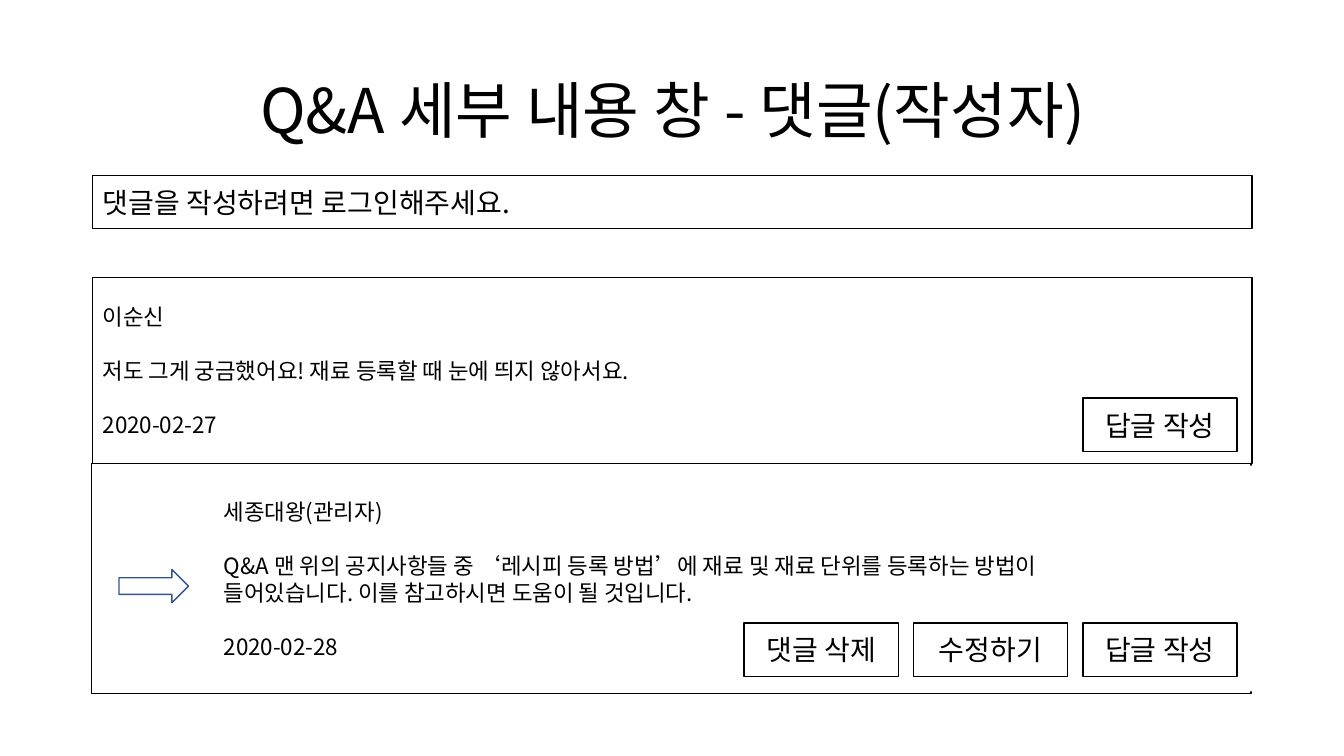
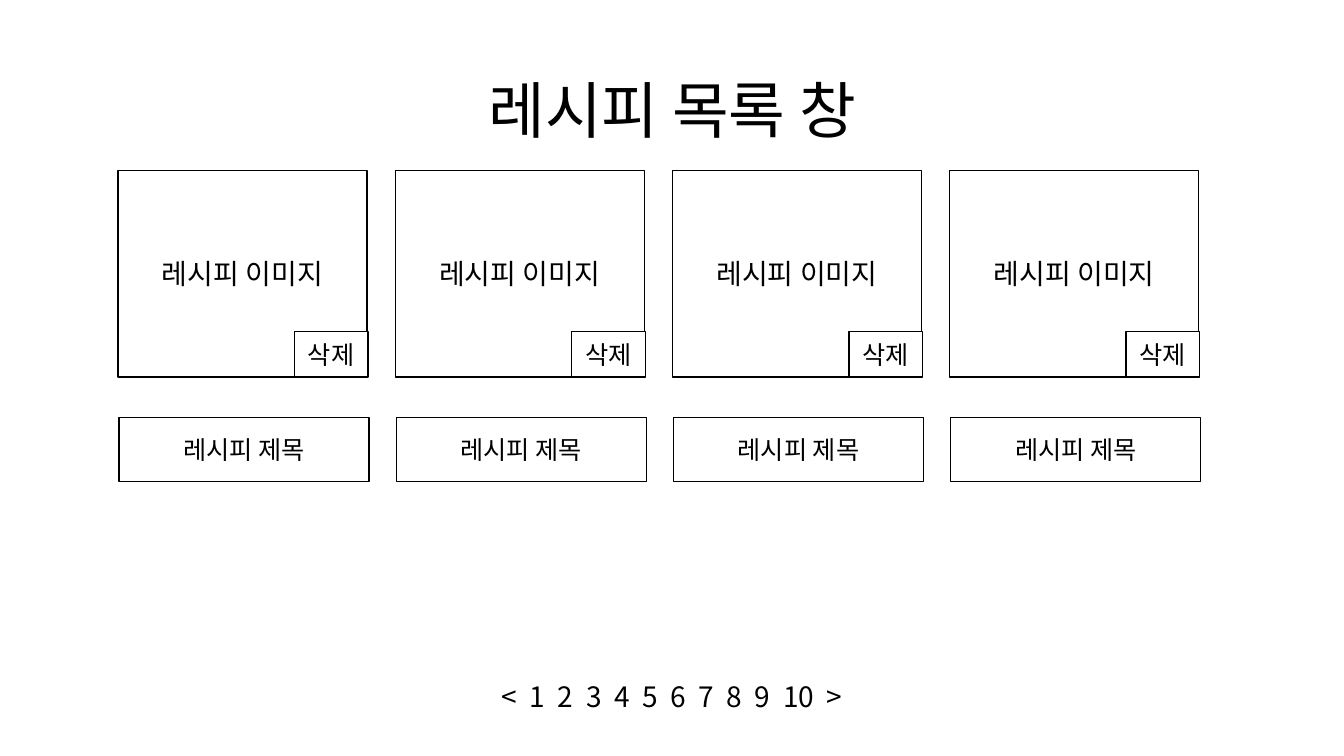
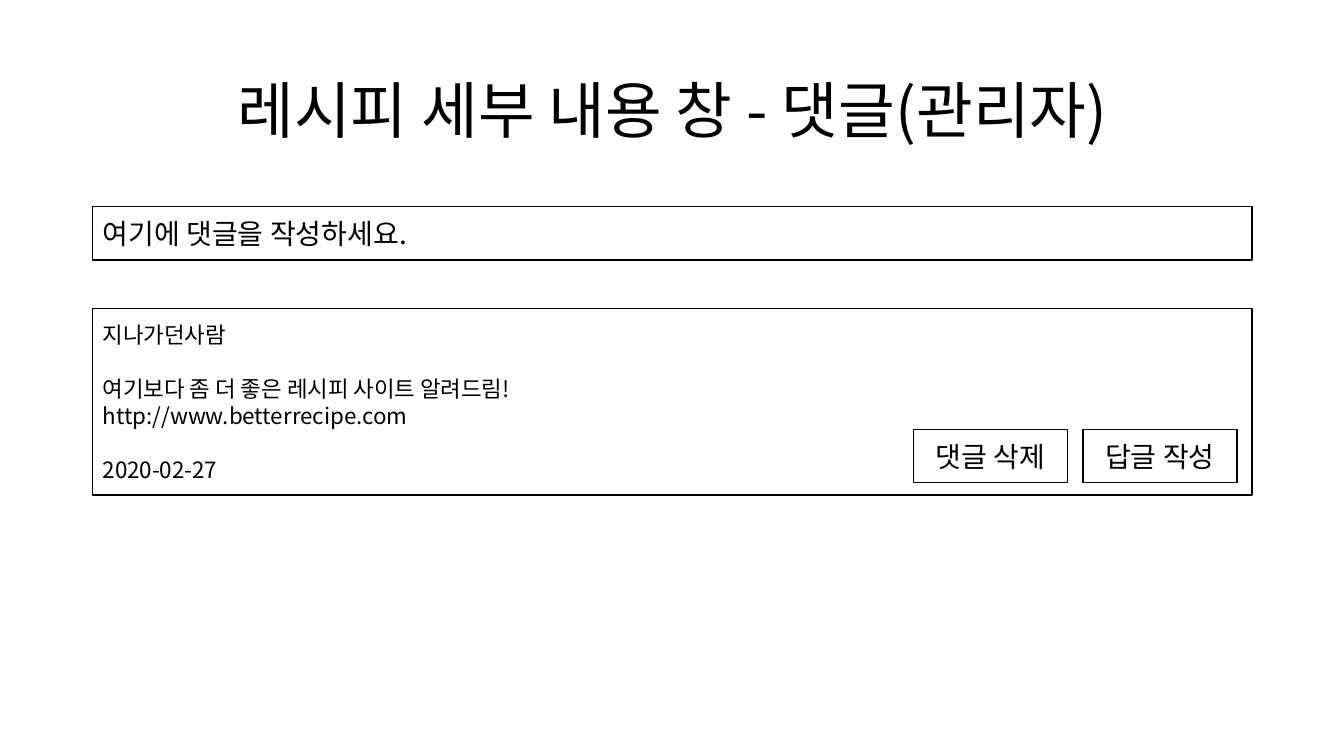
import pptx
import pptx.util
import pptx.dml.color
import pptx.enum.shapes
import pptx.enum.text
import pptx.oxml

Inches = pptx.util.Inches
Pt = pptx.util.Pt
SHAPES = pptx.enum.shapes.MSO_SHAPE
ALIGN = pptx.enum.text.PP_ALIGN
ANCHOR = pptx.enum.text.MSO_ANCHOR

COLORS = {"paper": "FFFFFF", "ink": "000000", "arrow": "325491"}
FONT = "Noto Sans CJK KR"

# Paragraph formats
TITLE = {"alignment": ALIGN.CENTER, "line_spacing": 0.9}
CENTERED = {"alignment": ALIGN.CENTER}
LEFT = {"alignment": ALIGN.LEFT}
COMMENT_LINE = Pt(19.3)
COMMENT = {"alignment": ALIGN.LEFT, "line_spacing": COMMENT_LINE}
COMMENT_GAP = {**COMMENT, "space_before": COMMENT_LINE}

# Shared positions in inches
MARGIN, CONTENT_WIDTH = 0.92, 11.5
BUTTON_WIDTH, BUTTON_HEIGHT = 1.53, 0.53
BUTTON_RIGHT, BUTTON_STEP = 10.74, 1.68
CARD_COUNT, CARD_LEFT, CARD_STEP = 4, 1.17, 2.75


def color(name):
    return pptx.dml.color.RGBColor.from_string(COLORS[name])


def apply_format(target, values):
    for name, value in values.items():
        setattr(target, name, value)


def add_span(para, text, size):
    span = para.add_run()
    span.text = text
    apply_format(span.font, {"name": FONT, "size": Pt(size)})
    span.font.color.rgb = color("ink")
    east_asian = pptx.oxml.parse_xml(
        '<a:ea xmlns:a="http://schemas.openxmlformats.org/drawingml/2006/main"'
        f' typeface="{FONT}"/>')
    span.font._element.append(east_asian)
    return span


def add_para(frame, index, values):
    para = frame.paragraphs[0] if index == 0 else frame.add_paragraph()
    apply_format(para, values)
    return para


def prepare_frame(box):
    frame = box.text_frame
    apply_format(frame, {"word_wrap": True, "vertical_anchor": ANCHOR.MIDDLE})
    return frame


def add_preset(page, kind, at, fill="paper", line="ink"):
    box = page.shapes.add_shape(kind, *map(Inches, at))
    box.shadow.inherit = False
    if fill:
        box.fill.solid()
        box.fill.fore_color.rgb = color(fill)
    else:
        box.fill.background()
    if line:
        box.line.color.rgb = color(line)
        box.line.width = Pt(1)
    else:
        box.line.fill.background()
    return box


def add_label(page, at, text, size=20, values=CENTERED):
    box = add_preset(page, SHAPES.RECTANGLE, at)
    add_span(add_para(prepare_frame(box), 0, values), text, size)


def add_title(page, text):
    box = page.shapes.add_textbox(*map(Inches, (MARGIN, 0.4, CONTENT_WIDTH, 1.45)))
    add_span(add_para(prepare_frame(box), 0, TITLE), text, 44)


def add_comment(page, at, author, message, date, line="ink"):
    """Author, message lines and date, with a gap before message and date."""
    frame = prepare_frame(add_preset(page, SHAPES.RECTANGLE, at, line=line))
    lines = [author, *message, date]
    for index, text in enumerate(lines):
        has_gap = index in (1, len(lines) - 1)
        para = add_para(frame, index, COMMENT_GAP if has_gap else COMMENT)
        add_span(para, text, 16)


def add_buttons(page, top, names):
    """Buttons in a row, from the right edge to the left."""
    for index, name in enumerate(names):
        left = BUTTON_RIGHT - index * BUTTON_STEP
        add_label(page, (left, top, BUTTON_WIDTH, BUTTON_HEIGHT), name)


def add_input(page, top, text):
    add_label(page, (MARGIN, top, CONTENT_WIDTH, 0.53), text, values=LEFT)


def add_pager(page, at, marks):
    box = add_preset(page, SHAPES.RECTANGLE, at, line=None)
    para = add_para(prepare_frame(box), 0, CENTERED)
    for index, mark in enumerate(marks):
        if index:
            space = add_span(para, " ", 20)
            space.font._element.set("spc", "450")
        add_span(para, mark, 20)


def add_recipe_card(page, left):
    add_label(page, (left, 1.69, 2.47, 2.05), "레시피 이미지")
    add_label(page, (left + 1.75, 3.29, 0.73, 0.45), "삭제", 18)
    add_label(page, (left + 0.01, 4.14, 2.48, 0.64), "레시피 제목", 18)


def build_question_comments(page):
    add_title(page, "Q&A 세부 내용 창 - 댓글(작성자)")
    add_preset(page, SHAPES.RECTANGLE, (0.91, 4.6, CONTENT_WIDTH, 2.28))
    add_input(page, 1.74, "댓글을 작성하려면 로그인해주세요.")
    add_comment(page, (MARGIN, 2.75, CONTENT_WIDTH, 1.85), "이순신",
                ["저도 그게 궁금했어요! 재료 등록할 때 눈에 띄지 않아서요."],
                "2020-02-27")
    add_buttons(page, 3.95, ["답글 작성"])
    # Reply
    add_comment(page, (2.12, 4.62, 10.3, 2.24), "세종대왕(관리자)",
                ["Q&A 맨 위의 공지사항들 중 ‘레시피 등록 방법’에 재료 및 재료 단위를 등록하는 방법이",
                 "들어있습니다. 이를 참고하시면 도움이 될 것입니다."],
                "2020-02-28", line=None)
    add_buttons(page, 6.18, ["답글 작성", "수정하기", "댓글 삭제"])
    add_preset(page, SHAPES.RIGHT_ARROW, (1.18, 5.65, 0.69, 0.33),
               fill=None, line="arrow")


def build_recipe_list(page):
    add_title(page, "레시피 목록 창")
    for index in range(CARD_COUNT):
        add_recipe_card(page, CARD_LEFT + index * CARD_STEP)
    add_pager(page, (3.57, 6.64, 6.19, 0.53), ["<", *map(str, range(1, 11)), ">"])


def build_recipe_comments(page):
    add_title(page, "레시피 세부 내용 창 - 댓글(관리자)")
    add_input(page, 2.05, "여기에 댓글을 작성하세요.")
    add_comment(page, (MARGIN, 3.06, CONTENT_WIDTH, 1.85), "지나가던사람",
                ["여기보다 좀 더 좋은 레시피 사이트 알려드림!",
                 "http://www.betterrecipe.com"],
                "2020-02-27")
    add_buttons(page, 4.26, ["답글 작성", "댓글 삭제"])


def main():
    deck = pptx.Presentation()
    deck.slide_width, deck.slide_height = Inches(13.33), Inches(7.5)
    blank = deck.slide_layouts[6]
    for build in (build_question_comments, build_recipe_list, build_recipe_comments):
        build(deck.slides.add_slide(blank))
    deck.save("out.pptx")


if __name__ == "__main__":
    main()
